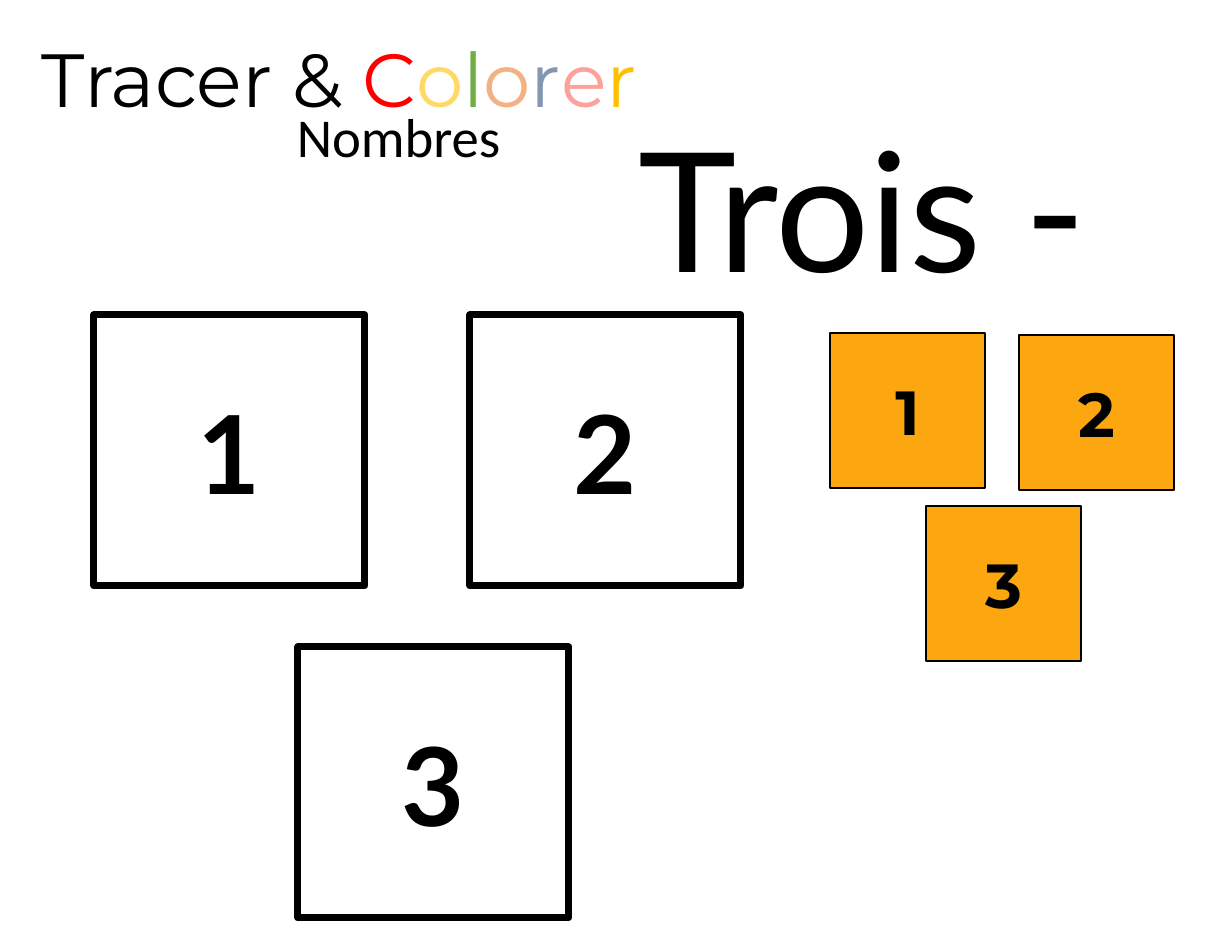
from dataclasses import dataclass

from pptx import Presentation
from pptx.dml.color import RGBColor
from pptx.enum.shapes import MSO_SHAPE
from pptx.enum.text import MSO_ANCHOR, PP_ALIGN
from pptx.util import Pt

RECT = MSO_SHAPE.RECTANGLE
MIDDLE = MSO_ANCHOR.MIDDLE
LEFT, CENTER = PP_ALIGN.LEFT, PP_ALIGN.CENTER
PX = 914400 / 112
BLACK = "000000"


@dataclass(frozen=True)
class SquareStyle:
    side: int
    fill: str
    line: float
    font: str
    size: int
    corners: tuple[tuple[int, int], ...]


@dataclass(frozen=True)
class Label:
    box: tuple[int, int, int, int]
    runs: tuple[tuple[str, str], ...]
    font: str
    size: float
    align: PP_ALIGN = LEFT


TRACING = SquareStyle(271, "FFFFFF", 4.5, "Lato", 70,
                      ((94, 315), (470, 315), (298, 647)))
COLORED = SquareStyle(155, "FCA710", 1, "Montserrat", 40,
                      ((830, 333), (1019, 335), (926, 506)))

NUMBER_WORD = Label((627, 101, 600, 213), (("Trois -", BLACK),), "Lato", 107)
SUBTITLE = Label((112, 97, 573, 77), (("Nombres", BLACK),), "Calibri", 35.2, CENTER)
LETTER_COLORS = ("FF0000", "FFD966", "70AD47", "F4B183", "8497B0", "FCA29C", "FFC000")
TITLE = Label((31, 27, 719, 103),
              (("Tracer & ", BLACK), *zip("Colorer", LETTER_COLORS)),
              "Montserrat", 48.4)


def px(n: int) -> int:
    return round(n * PX)


def rgb(color: str) -> RGBColor:
    return RGBColor.from_string(color)


def add_run(p, text: str, font: str, size: float, color: str, bold: bool = False) -> None:
    r = p.add_run()
    r.text = text
    r.font.name = font
    r.font.size = Pt(size)
    r.font.bold = bold
    r.font.color.rgb = rgb(color)


def draw_label(s, label: Label) -> None:
    tf = s.shapes.add_textbox(*map(px, label.box)).text_frame
    tf.word_wrap = True
    p = tf.paragraphs[0]
    p.alignment = label.align
    for text, color in label.runs:
        add_run(p, text, label.font, label.size, color)


def draw_squares(s, style: SquareStyle) -> None:
    side = px(style.side)
    for number, (x, y) in enumerate(style.corners, 1):
        sp = s.shapes.add_shape(RECT, px(x), px(y), side, side)
        sp.shadow.inherit = False
        sp.fill.solid()
        sp.fill.fore_color.rgb = rgb(style.fill)
        sp.line.color.rgb = rgb(BLACK)
        sp.line.width = Pt(style.line)
        tf = sp.text_frame
        tf.vertical_anchor = MIDDLE
        p = tf.paragraphs[0]
        p.alignment = CENTER
        add_run(p, str(number), style.font, style.size, BLACK, bold=True)


def main() -> None:
    prs = Presentation()
    prs.slide_width, prs.slide_height = px(1232), px(952)
    s = prs.slides.add_slide(prs.slide_layouts[6])
    draw_label(s, NUMBER_WORD)
    for style in (TRACING, COLORED):
        draw_squares(s, style)
    for label in (SUBTITLE, TITLE):
        draw_label(s, label)
    prs.save("out.pptx")


if __name__ == "__main__":
    main()
